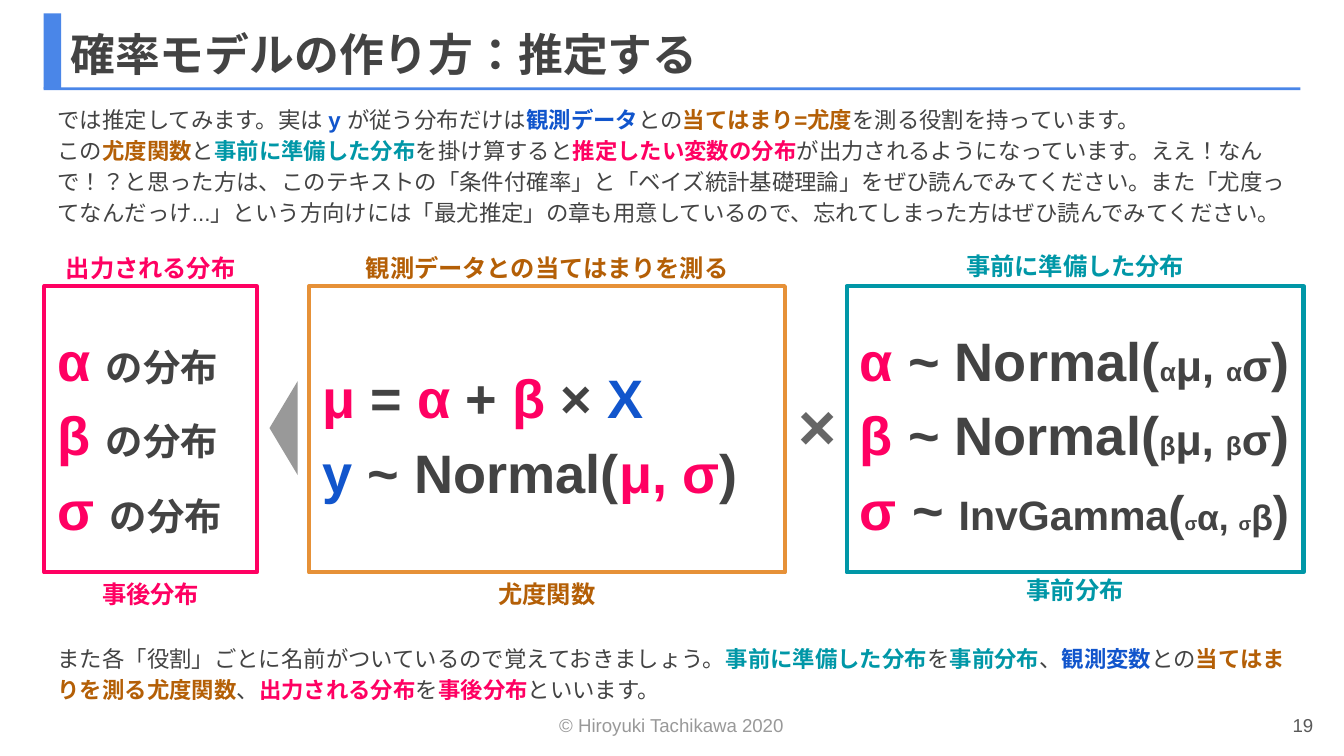
from pptx import Presentation, util as u
from pptx.dml.color import RGBColor
from pptx.enum import lang, shapes, text

COLOURS = {"ink": "434343", "pink": "FF0062", "teal": "0097A7", "brown": "B45F06",
           "orange": "E69138", "navy": "1155CC", "blue": "4A86E8",
           "grey": "999999", "page": "595959", "times": "666666"}
LEFT, CENTRE, RIGHT = text.PP_ALIGN.LEFT, text.PP_ALIGN.CENTER, text.PP_ALIGN.RIGHT
TOP, MIDDLE = text.MSO_ANCHOR.TOP, text.MSO_ANCHOR.MIDDLE

presentation = Presentation()
presentation.slide_width = u.Inches(10)
presentation.slide_height = presentation.slide_width * 9 // 16
slide = presentation.slides.add_slide(presentation.slide_layouts[6])
column = presentation.slide_width / 100
row = presentation.slide_height / 56.25


def add_block(kind, place, fill=None, line=None):
    left, top, width, height = place
    area = [int(left * column), int(top * row), int(width * column), int(height * row)]
    if kind is None:
        return slide.shapes.add_textbox(*area)
    shape = slide.shapes.add_shape(kind, *area)
    shape.shadow.inherit = False
    for part, colour in ((shape.fill, fill), (shape.line.fill, line)):
        if colour:
            part.solid()
            part.fore_color.rgb = RGBColor.from_string(COLOURS[colour])
        else:
            part.background()
    if line:
        shape.line.width = u.Pt(2.25)
    return shape


def write(shape, paragraphs, size, bold=None, align=LEFT, anchor=MIDDLE, spacing=1.0):
    frame = shape.text_frame
    settings = {"word_wrap": True, "vertical_anchor": anchor}
    settings.update({f"margin_{side}": u.Inches(0.1) for side in ("left", "right", "top", "bottom")})
    for name, value in settings.items():
        setattr(frame, name, value)
    for index, runs in enumerate(paragraphs):
        paragraph = frame.add_paragraph() if index else frame.paragraphs[0]
        paragraph.alignment, paragraph.line_spacing = align, spacing
        paragraph._p.get_or_add_pPr().set("hangingPunct", "0")
        for words, colour, *own_size in runs:
            run = paragraph.add_run()
            run.text = words
            values = {"name": "Arial", "size": u.Pt(own_size[0] if own_size else size),
                      "bold": colour != "ink" if bold is None else bold,
                      "language_id": lang.MSO_LANGUAGE_ID.JAPANESE}
            for name, value in values.items():
                setattr(run.font, name, value)
            run.font.color.rgb = RGBColor.from_string(COLOURS[colour])


rectangle = shapes.MSO_SHAPE.RECTANGLE
for place in ((3.25, 1, 1.3, 5.6), (3.25, 6.5, 93.5, 0.2)):
    add_block(rectangle, place, fill="blue")

labels = [
    ((4.25, 1.2, 93.2, 5.6), "確率モデルの作り方：推定する", "ink", 24, True, LEFT),
    ((6.7, 52.6, 86.5, 2.7), "©︎ Hiroyuki Tachikawa 2020", "grey", 10, False, CENTRE),
    ((92.7, 52.6, 6, 2.7), "19", "page", 10, False, RIGHT),
    ((58.4, 29.2, 4.8, 4.8), "×", "times", 35, True, CENTRE),
]

posterior = [[(f"{letter} ", "pink"), ("の分布", "ink", 20)] for letter in "αβσ"]
likelihood = [
    [("μ ", "pink"), ("=", "ink"), (" α ", "pink"), ("+", "ink"),
     (" β ", "pink"), ("× ", "ink"), ("X", "navy")],
    [("y ", "navy"), ("~ Normal(", "ink"), ("μ, σ", "pink"), (")", "ink")],
]
prior = [[(f"{letter} ", "pink"), ("~ Normal(", "ink"), (letter, "ink", 14), ("μ, ", "ink", 23),
          (letter, "ink", 14), ("σ", "ink", 23), (")", "ink")] for letter in "αβ"]
prior.append([("σ ", "pink"), ("~ ", "ink"), ("InvGamma", "ink", 22), ("(", "ink", 26),
              ("σ", "ink", 10), ("α, ", "ink", 19), ("σ", "ink", 10), ("β", "ink", 19),
              (")", "ink", 26)])

panels = [
    (3.3, 15.8, "pink", "pink", posterior, "出力される分布", 18.6, "事後分布", 42.8),
    (23, 35.4, "orange", "brown", likelihood, "観測データとの当てはまりを測る", 18.6, "尤度関数", 42.8),
    (63, 34, "teal", "teal", prior, "事前に準備した分布", 18.4, "事前分布", 42.5),
]
for left, width, border, colour, formulas, role, role_top, name, name_top in panels:
    panel = add_block(rectangle, (left, 21.3, width, 21.3), line=border)
    write(panel, formulas, 29, bold=True, spacing=1.15)
    for words, top in ((role, role_top), (name, name_top)):
        labels.append(((left, top, width, 2.7), words, colour, 13, True, CENTRE))

for place, words, colour, size, bold, align in labels:
    write(add_block(None, place), [[(words, colour)]], size, bold, align)

arrow = add_block(shapes.MSO_SHAPE.ISOSCELES_TRIANGLE, (17.6, 30.8, 7, 2.1), fill="grey")
arrow.rotation = 270

introduction = [
    [("では推定してみます。実は", "ink"), (" y ", "navy"), ("が従う分布だけは", "ink"),
     ("観測データ", "navy"), ("との", "ink"), ("当てはまり=尤度", "brown"),
     ("を測る役割を持っています。", "ink")],
    [("この", "ink"), ("尤度関数", "brown"), ("と", "ink"), ("事前に準備した分布", "teal"),
     ("を掛け算すると", "ink"), ("推定したい変数の分布", "pink"),
     ("が出力されるようになっています。ええ！なんで！？と思った方は、このテキストの"
      "「条件付確率」と「ベイズ統計基礎理論」をぜひ読んでみてください。"
      "また「尤度ってなんだっけ...」という方向けには「最尤推定」の章も用意しているので、"
      "忘れてしまった方はぜひ読んでみてください。", "ink")],
]
summary = [
    [("また各「役割」ごとに名前がついているので覚えておきましょう。", "ink"),
     ("事前に準備した分布", "teal"), ("を", "ink"), ("事前分布", "teal"), ("、", "ink"),
     ("観測変数", "navy"), ("との", "ink"), ("当てはまりを測る尤度関数", "brown"), ("、", "ink"),
     ("出力される分布", "pink"), ("を", "ink"), ("事後分布", "pink"), ("といいます。", "ink")],
]
for top, height, paragraphs in ((6.6, 10.8, introduction), (46.7, 6.1, summary)):
    write(add_block(None, (3.3, top, 93.7, height)), paragraphs, 12, anchor=TOP, spacing=1.15)

presentation.save("out.pptx")
